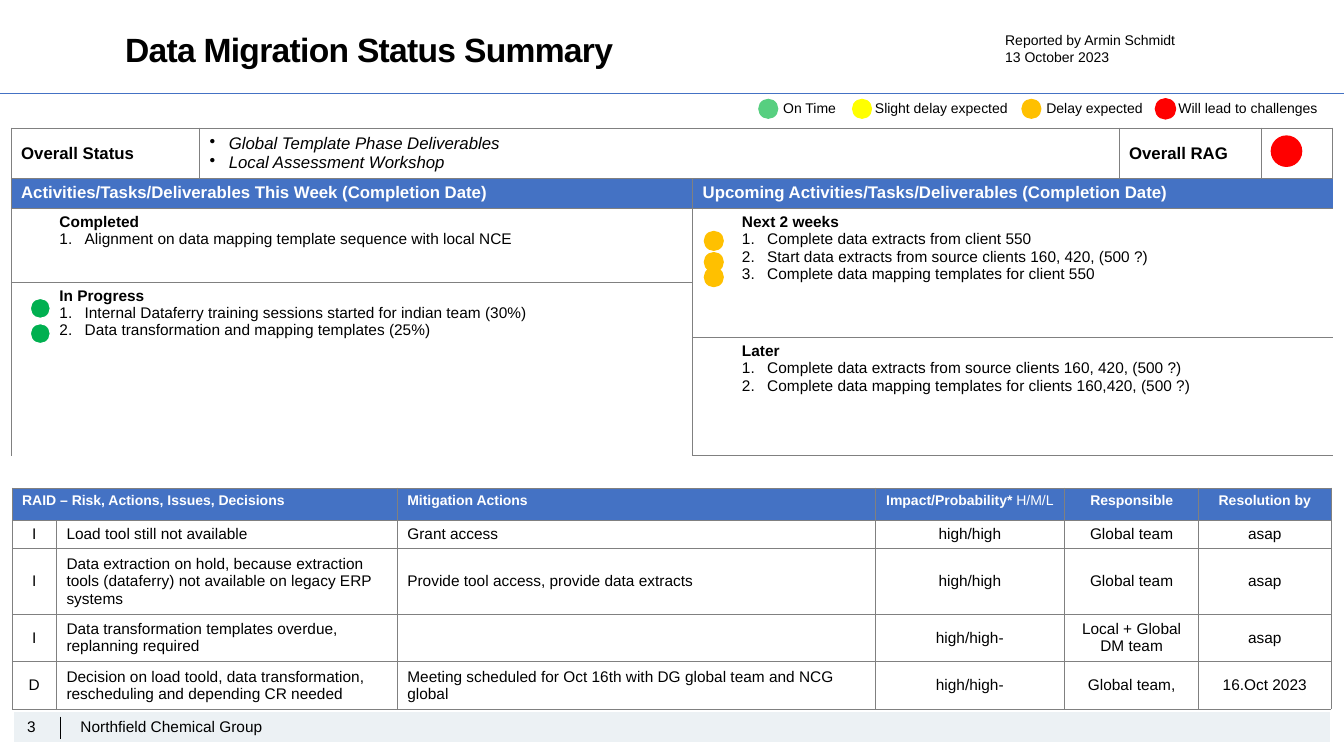
from lxml import etree
from pptx import Presentation
from pptx.dml.color import RGBColor
from pptx.enum.shapes import MSO_CONNECTOR, MSO_SHAPE
from pptx.enum.text import MSO_ANCHOR, PP_ALIGN
from pptx.oxml.ns import qn
from pptx.util import Inches, Pt

RECT, OVAL = MSO_SHAPE.RECTANGLE, MSO_SHAPE.OVAL
LINE = MSO_CONNECTOR.STRAIGHT
TOP, MID = MSO_ANCHOR.TOP, MSO_ANCHOR.MIDDLE
LEFT, CENTER = PP_ALIGN.LEFT, PP_ALIGN.CENTER
BLACK, WHITE, BLUE, GRAY = "000000", "FFFFFF", "4472C4", "808080"
RED, AMBER, GREEN = "FF0000", "FFC000", "00B050"

LEGEND = [  # dot left, dot colour, label left, label width, label
    (7.52, "57CF80", 7.67, 0.74, "On Time"),
    (8.45, "FFFF00", 8.58, 1.57, "Slight delay expected"),
    (10.13, AMBER, 10.28, 1.19, "Delay expected"),
    (11.46, RED, 11.59, 1.63, "Will lead to challenges"),
]
TASKS = [  # row, column, last row, last column, heading, items
    (2, 1, 2, 2, "Completed", [
        "Alignment on data mapping template sequence with local NCE"]),
    (2, 4, 3, 6, "Next 2 weeks", [
        "Complete data extracts from client 550",
        "Start data extracts from source clients 160, 420, (500 ?)",
        "Complete data mapping templates for client 550"]),
    (3, 1, 4, 2, "In Progress", [
        "Internal Dataferry training sessions started for indian team (30%)",
        "Data transformation and mapping templates (25%)"]),
    (4, 4, 4, 6, "Later", [
        "Complete data extracts from source clients 160, 420, (500 ?)",
        "Complete data mapping templates for clients 160,420, (500 ?)"]),
]
RAID = [
    ("I", "Load tool still not available", "Grant access",
     "high/high", "Global team", "asap"),
    ("I", "Data extraction on hold, because extraction tools (dataferry) "
     "not available on legacy ERP systems",
     "Provide tool access, provide data extracts",
     "high/high", "Global team", "asap"),
    ("I", "Data transformation templates overdue, replanning required", "",
     "high/high-", "Local + Global DM team", "asap"),
    ("D", "Decision on load toold, data transformation, rescheduling "
     "and depending CR needed",
     "Meeting scheduled for Oct 16th with DG global team and NCG global",
     "high/high-", "Global team,", "16.Oct 2023"),
]


def rgb(code):
    return RGBColor.from_string(code)


def write(frame, text, size=11, color=BLACK, bold=False, italic=False,
          align=LEFT, mark=None, indent=0.25, tail="", track=None):
    """Add one paragraph; tail is a part that is never bold."""
    para = frame.paragraphs[0]
    if para.runs:
        para = frame.add_paragraph()
    para.alignment = align
    for part, heavy in ((text, bold), (tail, False)):
        if not part:
            continue
        run = para.add_run()
        run.text = part
        font = run.font
        font.name, font.size = "Arial", Pt(size)
        font.bold, font.italic = heavy, italic
        font.color.rgb = rgb(color)
        if track:
            run._r.get_or_add_rPr().set("spc", str(int(track * 100)))
    if mark:
        props = para._p.get_or_add_pPr()
        props.set("marL", str(Inches(indent)))
        props.set("indent", str(-Inches(indent)))
        if mark == "num":
            etree.SubElement(props, qn("a:buAutoNum"), type="arabicPeriod")
        else:
            etree.SubElement(props, qn("a:buChar"), char=mark)


def inset(frame, left, top, right, bottom):
    frame.margin_left, frame.margin_top = Inches(left), Inches(top)
    frame.margin_right, frame.margin_bottom = Inches(right), Inches(bottom)


def add_box(slide, left, top, width, height, wrap=True, anchor=TOP):
    box = slide.shapes.add_textbox(
        Inches(left), Inches(top), Inches(width), Inches(height))
    frame = box.text_frame
    frame.word_wrap, frame.vertical_anchor = wrap, anchor
    return frame


def add_form(slide, kind, left, top, width, height, fill, edge=None):
    form = slide.shapes.add_shape(
        kind, Inches(left), Inches(top), Inches(width), Inches(height))
    form.shadow.inherit = False
    form.fill.solid()
    form.fill.fore_color.rgb = rgb(fill)
    if edge:
        form.line.color.rgb = rgb(edge)
        form.line.width = Pt(1)
    else:
        form.line.fill.background()
    return form


def add_dot(slide, left, top, fill, edge=None, size=0.2):
    add_form(slide, OVAL, left, top, size, size, fill, edge)


def add_rule(slide, x1, y1, x2, y2, color, width):
    rule = slide.shapes.add_connector(
        LINE, Inches(x1), Inches(y1), Inches(x2), Inches(y2))
    rule.line.color.rgb = rgb(color)
    rule.line.width = Pt(width)
    etree.SubElement(rule._element.spPr, qn("a:effectLst"))


def add_grid(slide, left, top, cols, rows):
    frame = slide.shapes.add_table(
        len(rows), len(cols), Inches(left), Inches(top),
        Inches(sum(cols)), Inches(sum(rows)))
    grid = frame.table
    grid.first_row = grid.horz_banding = False
    for col, width in zip(grid.columns, cols):
        col.width = Inches(width)
    for row, height in zip(grid.rows, rows):
        row.height = Inches(height)
    return grid


def add_edge(cell, side, shown):
    edge = etree.SubElement(
        cell._tc.get_or_add_tcPr(), qn("a:ln" + side), w=str(Pt(0.5)))
    if shown:
        fill = etree.SubElement(edge, qn("a:solidFill"))
        etree.SubElement(fill, qn("a:srgbClr"), val=GRAY)
    else:
        etree.SubElement(edge, qn("a:noFill"))


def set_cell(grid, row, col, end_row=None, end_col=None, fill=WHITE,
             anchor=TOP, sides="LRTB"):
    """Merge, outline and fill one block of cells; return its text frame."""
    end_row = row if end_row is None else end_row
    end_col = col if end_col is None else end_col
    first = grid.cell(row, col)
    if (row, col) != (end_row, end_col):
        first.merge(grid.cell(end_row, end_col))
    for r in range(row, end_row + 1):
        for c in range(col, end_col + 1):
            cell = grid.cell(r, c)
            outer = {"L": c == col, "R": c == end_col,
                     "T": r == row, "B": r == end_row}
            for side, edge in outer.items():
                add_edge(cell, side, edge and side in sides)
            cell.fill.solid()
            cell.fill.fore_color.rgb = rgb(fill)
    first.vertical_anchor = anchor
    return first.text_frame


def add_status(slide):
    grid = add_grid(slide, 0.11, 1.27, [0.38, 1.49, 4.89, 0.39, 3.84, 1.41, 0.71],
                    [0.5, 0.3, 0.73, 0.55, 1.17])
    # Overall row
    write(set_cell(grid, 0, 0, 0, 1, anchor=MID), "Overall Status", 12, bold=True)
    goals = set_cell(grid, 0, 2, 0, 4, anchor=MID)
    for goal in ("Global Template Phase Deliverables", "Local Assessment Workshop"):
        write(goals, goal, 12, italic=True, mark="•", indent=0.19)
    write(set_cell(grid, 0, 5, anchor=MID), "Overall RAG", 12, bold=True)
    set_cell(grid, 0, 6)
    # Headings
    for col, end, head in ((0, 2, "Activities/Tasks/Deliverables This Week"),
                           (3, 6, "Upcoming Activities/Tasks/Deliverables")):
        write(set_cell(grid, 1, col, 1, end, BLUE), head + " (Completion Date)",
              12, WHITE, bold=True)
    # Task blocks, each with a dot column at its left
    for row, col, end_row, end_col, head, items in TASKS:
        set_cell(grid, row, col - 1, end_row, sides="LTB")
        frame = set_cell(grid, row, col, end_row, end_col, sides="RTB")
        write(frame, head, bold=True)
        for item in items:
            write(frame, item, mark="num")


def add_raid(slide):
    grid = add_grid(slide, 0.12, 4.84, [0.44, 3.38, 4.74, 1.88, 1.33, 1.31],
                    [0.32, 0.28, 0.65, 0.47, 0.47])
    heads = [(0, 1, "RAID – Risk, Actions, Issues, Decisions", ""),
             (2, 2, "Mitigation Actions", ""),
             (3, 3, "Impact/Probability* ", "H/M/L"),
             (4, 4, "Responsible", ""), (5, 5, "Resolution by", "")]
    for col, end, head, tail in heads:
        write(set_cell(grid, 0, col, 0, end, BLUE), head, 10, WHITE, bold=True,
              align=CENTER if col > 2 else LEFT, tail=tail)
    for row, entry in enumerate(RAID, 1):
        for col, text in enumerate(entry):
            frame = set_cell(grid, row, col, anchor=MID)
            write(frame, text, align=LEFT if col in (1, 2) else CENTER)
        key = grid.cell(row, 0)
        key.margin_left = key.margin_right = 0


def main():
    deck = Presentation()
    deck.slide_width, deck.slide_height = Inches(13.33), Inches(7.5)
    slide = deck.slides.add_slide(deck.slide_layouts[6])

    # Header and footer
    add_form(slide, RECT, 0, 0, 13.33, 0.79, WHITE)
    add_form(slide, RECT, 0.13, 7.06, 13.07, 0.31, "ECF1F4", WHITE)
    add_rule(slide, 0.6, 7.11, 0.6, 7.33, BLACK, 1)
    add_rule(slide, 0, 0.93, 13.33, 0.93, BLUE, 0.5)
    title = add_box(slide, 1.04, 0.21, 8.8, 0.59)
    inset(title, 0.2, 0.08, 0.2, 0)
    write(title, "Data Migration Status Summary", 24, bold=True, track=-0.5)
    page = add_box(slide, 0.27, 7.08, 0.38, 0.26, anchor=MID)
    inset(page, 0, 0.05, 0.1, 0.05)
    write(page, "3")
    write(add_box(slide, 0.7, 7.08, 4.87, 0.26, anchor=MID),
          "Northfield Chemical Group")
    note = add_form(slide, RECT, 9.92, 0.21, 1.86, 0.49, WHITE).text_frame
    note.word_wrap, note.vertical_anchor = False, TOP
    inset(note, 0.05, 0.1, 0.1, 0.05)
    for line in ("Reported by Armin Schmidt", "13 October 2023"):
        write(note, line, 10)

    # Legend
    for dot, color, left, width, label in LEGEND:
        add_dot(slide, dot, 0.98, color, RED if color == RED else None)
        write(add_box(slide, left, 0.94, width, 0.27, wrap=False), label, 10)

    # Tables and their status dots
    add_status(slide)
    add_raid(slide)
    add_dot(slide, 12.61, 1.35, RED, RED, 0.3)
    for top in (2.96, 3.21):
        add_dot(slide, 0.3, top, GREEN, WHITE)
    for top in (2.29, 2.5, 2.65):
        add_dot(slide, 6.98, top, AMBER)

    deck.save("out.pptx")


if __name__ == "__main__":
    main()
